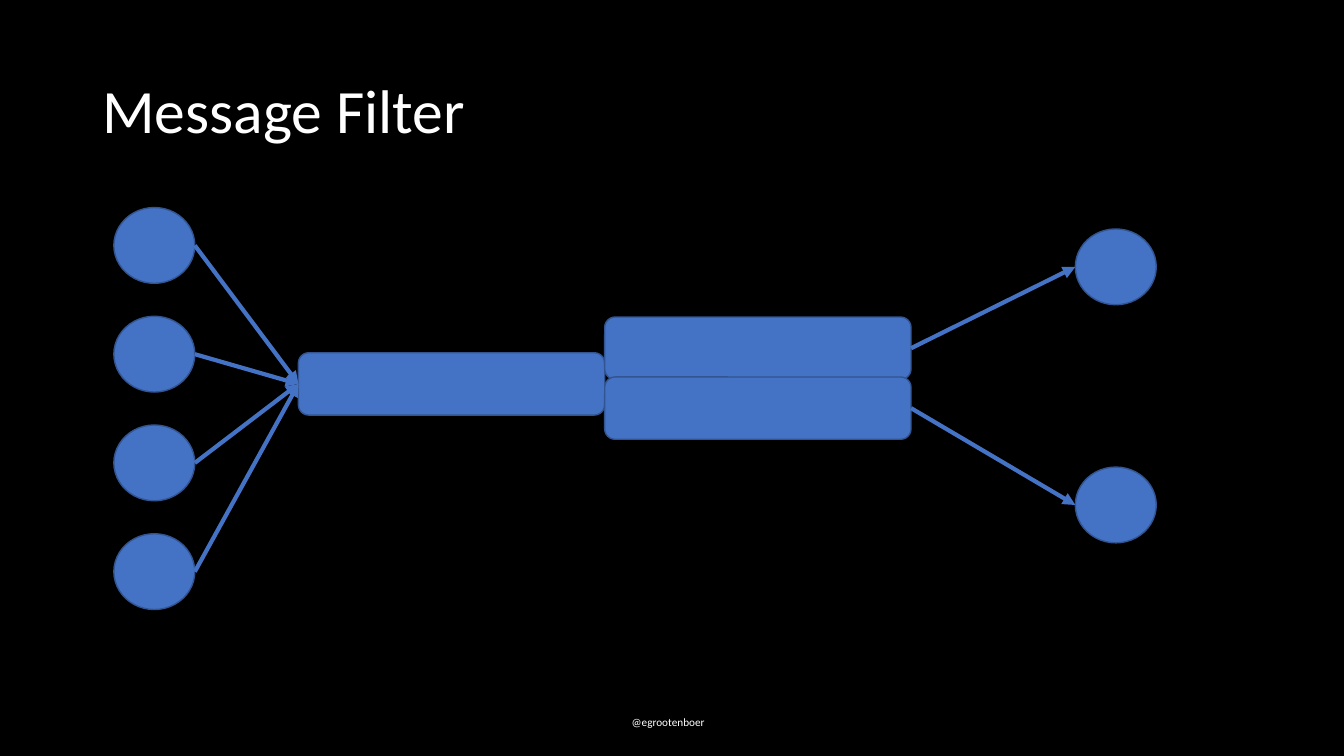
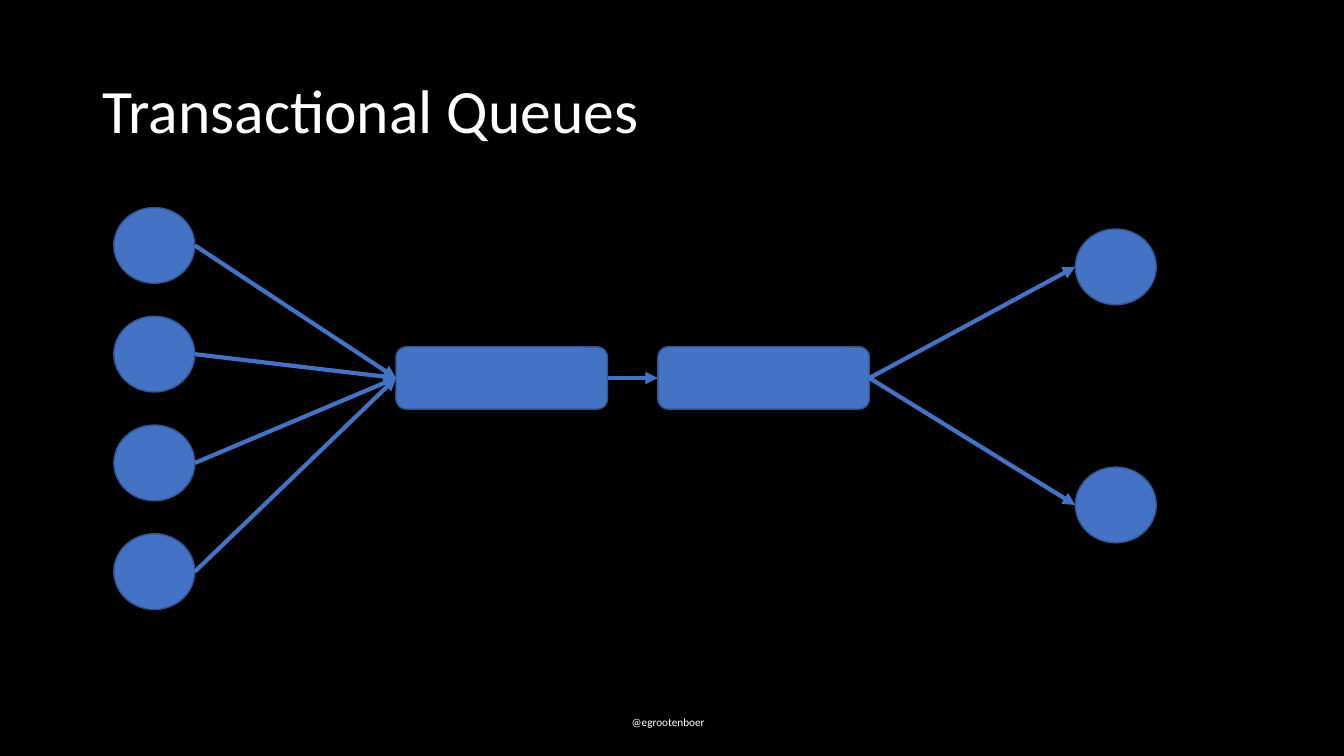
import lxml.etree
import pptx
import pptx.dml.color
import pptx.enum.shapes
import pptx.enum.text
import pptx.oxml.ns
import pptx.util

Cm = pptx.util.Cm
Pt = pptx.util.Pt
MSO_SHAPE = pptx.enum.shapes.MSO_SHAPE

# Shared look
BLACK = pptx.dml.color.RGBColor(0x00, 0x00, 0x00)
WHITE = pptx.dml.color.RGBColor(0xFF, 0xFF, 0xFF)
BLUE = pptx.dml.color.RGBColor(0x44, 0x72, 0xC4)
DARK_BLUE = pptx.dml.color.RGBColor(0x32, 0x54, 0x91)
TITLE_FONT = {"name": "Calibri", "size": Pt(44)}
FOOTER_FONT = {"name": "Calibri", "size": Pt(8)}
FOOTER = "@egrootenboer"

# Shared positions in centimetres
CIRCLE_WIDTH, CIRCLE_HEIGHT = 2.04, 1.91
SENDER_LEFT, SENDER_TOP, SENDER_STEP, SENDER_COUNT = 2.87, 5.23, 2.74, 4
RECEIVER_LEFT, RECEIVER_TOPS = 27.1, (5.77, 11.77)
QUEUE_HEIGHT = 1.57

# Queues are (left, top, width); links and exits are queue indexes
SLIDES = [
    {
        "title": "Message Filter",
        "queues": [(7.52, 8.89, 7.72), (15.24, 7.99, 7.72), (15.24, 9.5, 7.72)],
        "links": [],
        "exits": (1, 2),
    },
    {
        "title": "Transactional Queues",
        "queues": [(9.98, 8.74, 5.33), (16.58, 8.74, 5.33)],
        "links": [(0, 1)],
        "exits": (1, 1),
    },
]


def add_node(slide, kind, left, top, width, height):
    shape = slide.shapes.add_shape(kind, Cm(left), Cm(top), Cm(width), Cm(height))
    shape.shadow.inherit = False
    shape.fill.solid()
    shape.fill.fore_color.rgb = BLUE
    shape.line.color.rgb = DARK_BLUE
    shape.line.width = Pt(1)
    return shape


def add_arrow(slide, source, target):
    """Run an arrow from the right side of source to the left side of target."""
    connector = slide.shapes.add_connector(
        pptx.enum.shapes.MSO_CONNECTOR.STRAIGHT,
        source.left + source.width, source.top + source.height // 2,
        target.left, target.top + target.height // 2,
    )
    # Only rectangles number their sides 0 to 3
    if source.auto_shape_type == MSO_SHAPE.ROUNDED_RECTANGLE:
        connector.begin_connect(source, 3)
    if target.auto_shape_type == MSO_SHAPE.ROUNDED_RECTANGLE:
        connector.end_connect(target, 1)
    connector.line.color.rgb = BLUE
    connector.line.width = Pt(3)
    line = connector.line._get_or_add_ln()
    lxml.etree.SubElement(line, pptx.oxml.ns.qn("a:tailEnd"), type="triangle")
    lxml.etree.SubElement(connector._element.spPr, pptx.oxml.ns.qn("a:effectLst"))


presentation = pptx.Presentation()
presentation.slide_width = Cm(33.87)
presentation.slide_height = Cm(19.05)
background = presentation.slide_master.background.fill
background.solid()
background.fore_color.rgb = BLACK

for content in SLIDES:
    slide = presentation.slides.add_slide(presentation.slide_layouts[6])

    # Footer and title
    for text, box, font_format, wrap, spacing in (
        (FOOTER, (15.67, 17.88, 2.51, 0.61), FOOTER_FONT, False, 1.0),
        (content["title"], (2.33, 1.01, 29.21, 3.68), TITLE_FONT, True, 0.9),
    ):
        frame = slide.shapes.add_textbox(*map(Cm, box)).text_frame
        frame.word_wrap = wrap
        frame.vertical_anchor = pptx.enum.text.MSO_ANCHOR.MIDDLE
        paragraph = frame.paragraphs[0]
        paragraph.text = text
        paragraph.line_spacing = spacing
        paragraph.font.color.rgb = WHITE
        for name, value in font_format.items():
            setattr(paragraph.font, name, value)

    # Senders, queues and receivers
    senders = [
        add_node(slide, MSO_SHAPE.OVAL, SENDER_LEFT, SENDER_TOP + row * SENDER_STEP,
                 CIRCLE_WIDTH, CIRCLE_HEIGHT)
        for row in range(SENDER_COUNT)
    ]
    queues = [
        add_node(slide, MSO_SHAPE.ROUNDED_RECTANGLE, left, top, width, QUEUE_HEIGHT)
        for left, top, width in content["queues"]
    ]
    receivers = [
        add_node(slide, MSO_SHAPE.OVAL, RECEIVER_LEFT, top, CIRCLE_WIDTH, CIRCLE_HEIGHT)
        for top in RECEIVER_TOPS
    ]

    # Message flow
    for sender in senders:
        add_arrow(slide, sender, queues[0])
    for source, target in content["links"]:
        add_arrow(slide, queues[source], queues[target])
    for source, receiver in zip(content["exits"], receivers):
        add_arrow(slide, queues[source], receiver)

presentation.save("out.pptx")
